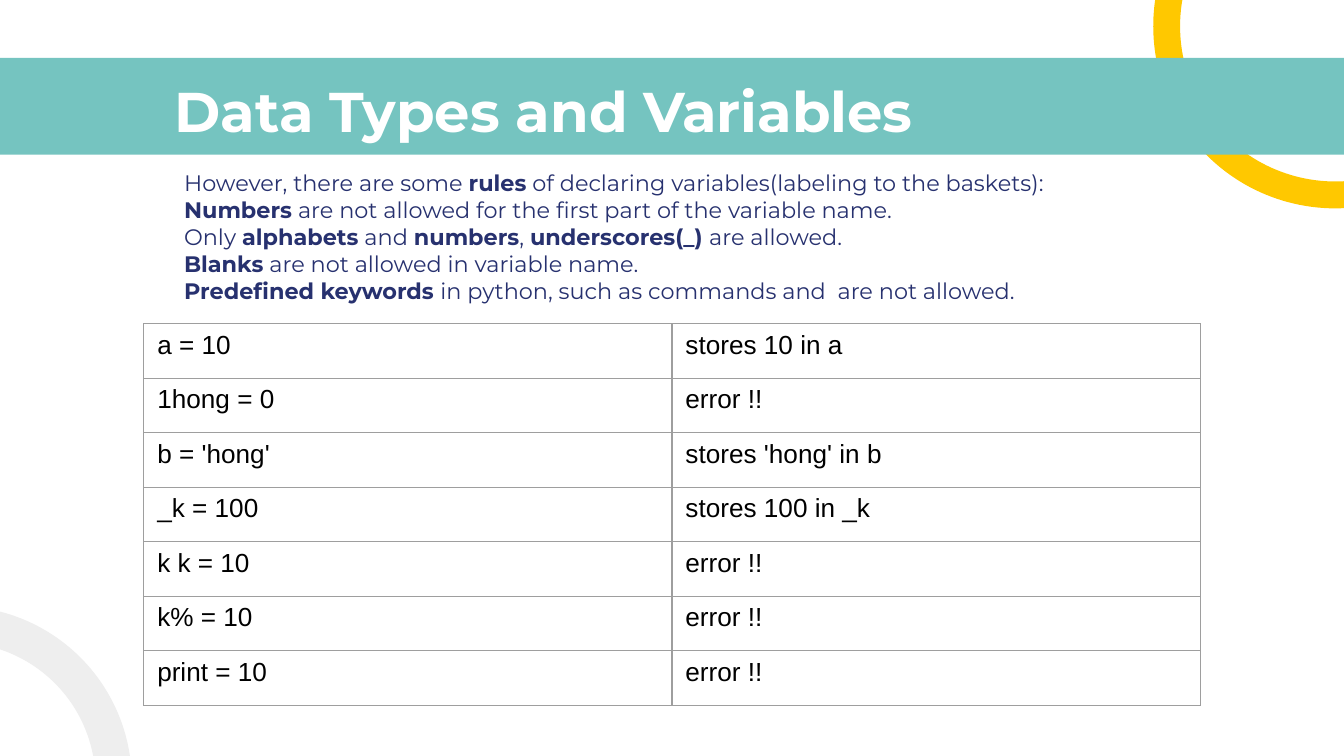
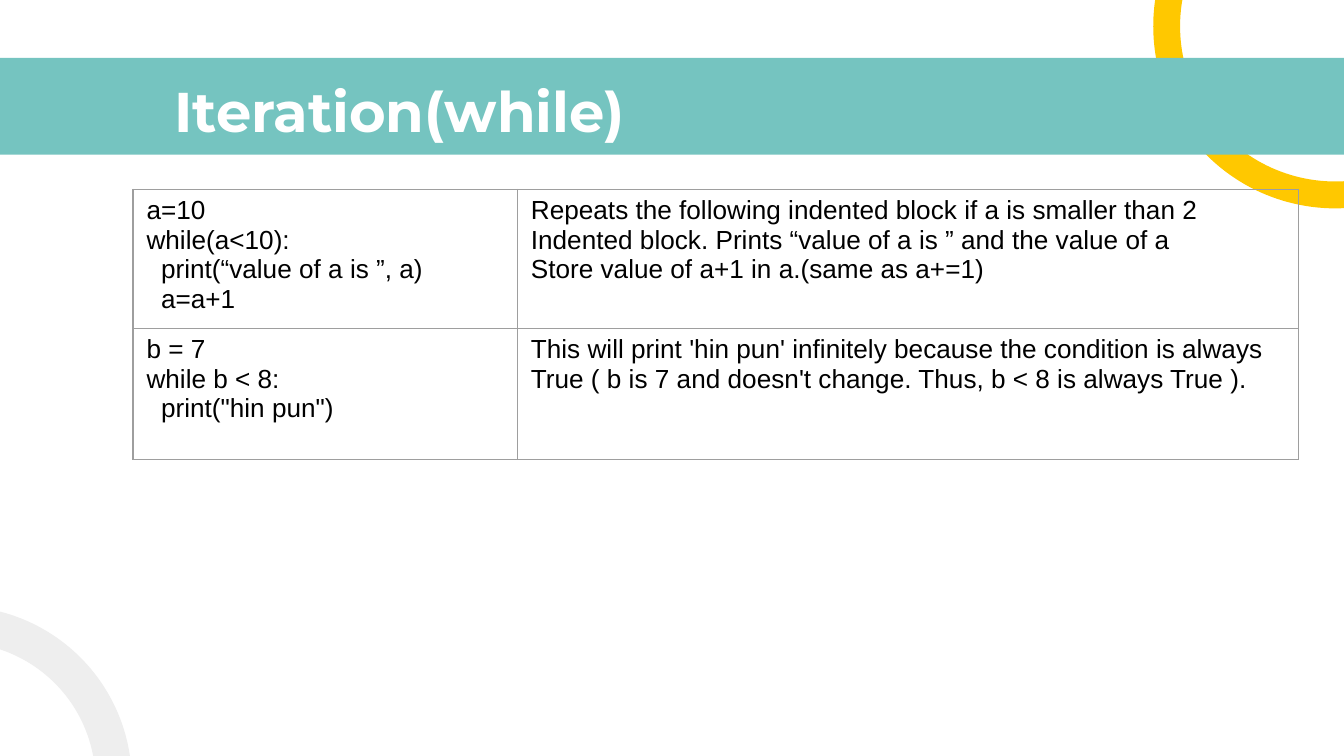
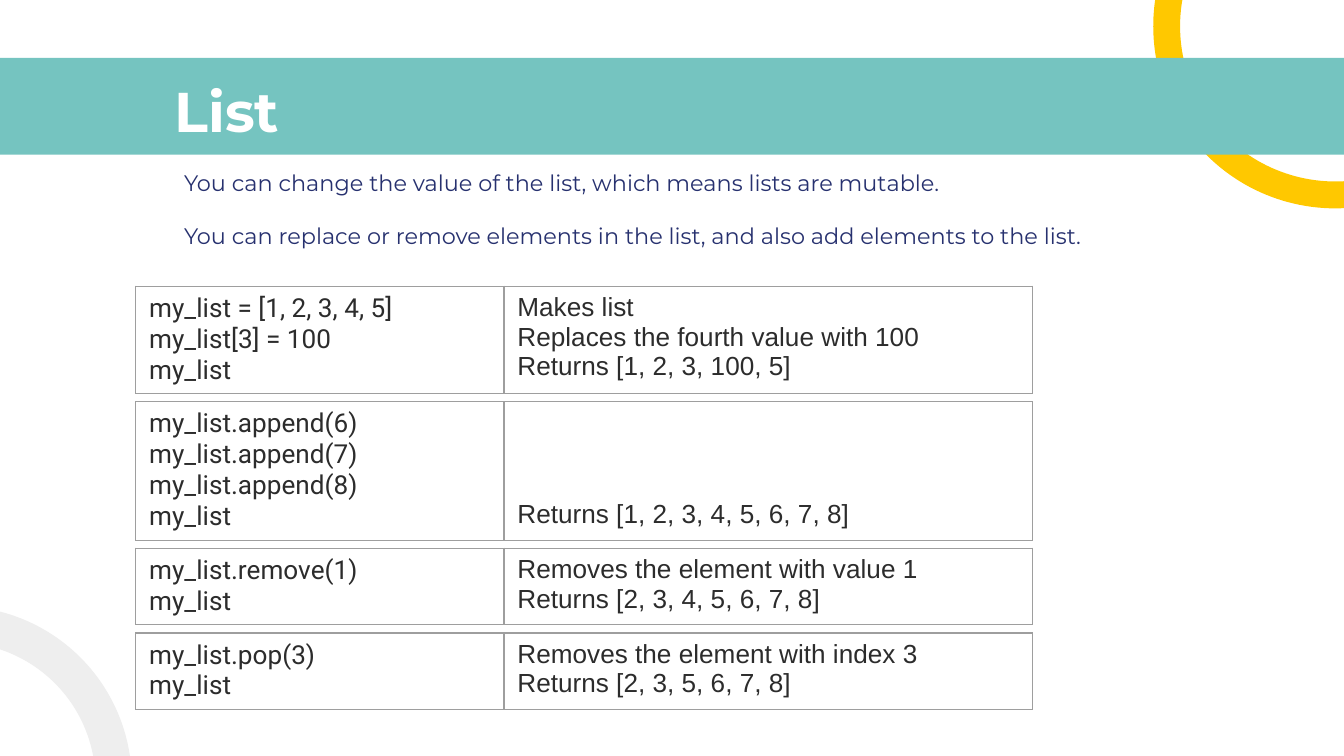
from lxml import etree
from pptx import Presentation
from pptx.dml.color import RGBColor
from pptx.enum.shapes import MSO_SHAPE
from pptx.enum.text import MSO_ANCHOR
from pptx.oxml.ns import qn
from pptx.util import Inches, Pt

BLOCK_ARC = MSO_SHAPE.BLOCK_ARC
RECTANGLE = MSO_SHAPE.RECTANGLE
TOP, BOTTOM = MSO_ANCHOR.TOP, MSO_ANCHOR.BOTTOM

YELLOW = RGBColor(0xFF, 0xC8, 0x00)
TEAL = RGBColor(0x75, 0xC4, 0xC0)
PALE_GRAY = RGBColor(0xEE, 0xEE, 0xEE)
WHITE = RGBColor(0xFF, 0xFF, 0xFF)
NAVY = RGBColor(0x27, 0x31, 0x6F)
BLACK = RGBColor(0x00, 0x00, 0x00)
CHARCOAL = RGBColor(0x2C, 0x2C, 0x2C)
BORDER_GRAY = RGBColor(0x9E, 0x9E, 0x9E)

HEADING_FONT, TABLE_FONT, CODE_FONT = "Montserrat", "Arial", "Roboto"
TABLE_SIZE = 14

VARIABLE_RULES = [  # *...* marks bold words
    "However, there are some *rules* of declaring variables(labeling to the baskets):",
    "*Numbers* are not allowed for the first part of the variable name.",
    "Only *alphabets* and *numbers*, *underscores(_) *are allowed.",
    "*Blanks* are not allowed in variable name.",
    "*Predefined keywords *in python, such as commands and  are not allowed.",
]
VARIABLE_ROWS = [
    ("a = 10", "stores 10 in a"),
    ("1hong = 0", "error !!"),
    ("b = 'hong'", "stores 'hong' in b"),
    ("_k = 100", "stores 100 in _k"),
    ("k k = 10", "error !!"),
    ("k% = 10", "error !!"),
    ("print = 10", "error !!"),
]
WHILE_ROWS = [
    ("a=10\nwhile(a<10):\n  print(“value of a is ”, a)\n  a=a+1",
     "Repeats the following indented block if a is smaller than 2\n"
     "Indented block. Prints “value of a is ” and the value of a\n"
     "Store value of a+1 in a.(same as a+=1)"),
    ("b = 7\nwhile b < 8:\n  print(\"hin pun\")",
     "This will print 'hin pun' infinitely because the condition is always "
     "True ( b is 7 and doesn't change. Thus, b < 8 is always True )."),
]
LIST_NOTES = [
    "You can change the value of the list, which means lists are mutable.",
    "You can replace or remove elements in the list, and also add elements to the list.",
]
LIST_EXAMPLES = [  # table height, code, result
    (0.79, "my_list = [1, 2, 3, 4, 5]\nmy_list[3] = 100\nmy_list",
     "Makes list\nReplaces the fourth value with 100\nReturns [1, 2, 3, 100, 5]"),
    (1.02, "my_list.append(6)\nmy_list.append(7)\nmy_list.append(8)\nmy_list",
     "Returns [1, 2, 3, 4, 5, 6, 7, 8]"),
    (0.56, "my_list.remove(1)\nmy_list",
     "Removes the element with value 1\nReturns [2, 3, 4, 5, 6, 7, 8]"),
    (0.56, "my_list.pop(3)\nmy_list",
     "Removes the element with index 3\nReturns [2, 3, 5, 6, 7, 8]"),
]


def style_font(font, name, size, color, bold=False):
    font.name, font.size, font.bold = name, Pt(size), bold
    font.color.rgb = color


def add_plain_shape(slide, kind, left, top, width, height, color):
    shape = slide.shapes.add_shape(
        kind, Inches(left), Inches(top), Inches(width), Inches(height))
    shape.shadow.inherit = False
    shape.fill.solid()
    shape.fill.fore_color.rgb = color
    shape.line.fill.background()
    return shape


def add_ring(slide, left, top, size, thickness, start, end, rotation, color):
    ring = add_plain_shape(slide, BLOCK_ARC, left, top, size, size, color)
    ring.adjustments[0] = start
    ring.adjustments[1] = end
    ring.adjustments[2] = thickness / size
    ring.rotation = rotation


def add_text_frame(slide, left, top, width, height, indent=0.0):
    box = slide.shapes.add_textbox(
        Inches(left), Inches(top), Inches(width), Inches(height))
    frame = box.text_frame
    frame.word_wrap = True
    frame.vertical_anchor = TOP
    frame.margin_left = Inches(0.1 + indent)
    frame.margin_right = frame.margin_top = frame.margin_bottom = Inches(0.1)
    return frame


def add_titled_slide(presentation, title):
    slide = presentation.slides.add_slide(presentation.slide_layouts[6])
    # Corner rings and title band
    add_ring(slide, 8.58, -1.16, 2.71, 0.2, 159.04, 7.23, 180, YELLOW)
    add_plain_shape(slide, RECTANGLE, -0.17, 0.43, 10.34, 0.72, TEAL)
    add_ring(slide, -1.63, 4.51, 2.61, 0.27, 125.82, 166.85, 74.3, PALE_GRAY)
    # Title
    paragraph = add_text_frame(slide, 1.2, 0.47, 8.46, 0.63).paragraphs[0]
    paragraph.text = title
    style_font(paragraph.font, HEADING_FONT, 30, WHITE, bold=True)
    return slide


def add_notes_text(slide, lines, height, gap=0):
    frame = add_text_frame(slide, 0.77, 1.16, 8.46, height, indent=0.5)
    for index, line in enumerate(lines):
        paragraph = frame.add_paragraph() if index else frame.paragraphs[0]
        if index and gap:
            paragraph.space_before = Pt(gap)
        style_font(paragraph.font, HEADING_FONT, 12, NAVY)
        for position, words in enumerate(line.split("*")):
            if words:
                run = paragraph.add_run()
                run.text = words
                if position % 2:
                    run.font.bold = True


def add_borders(cell):
    properties = cell._tc.get_or_add_tcPr()
    for side in ("a:lnL", "a:lnR", "a:lnT", "a:lnB"):
        line = etree.SubElement(properties, qn(side), w=str(Pt(0.75)))
        fill = etree.SubElement(line, qn("a:solidFill"))
        etree.SubElement(fill, qn("a:srgbClr"), val=str(BORDER_GRAY))


def add_grid(slide, left, top, widths, height, rows, fonts, color):
    """Add a bordered table, with equal rows and one font per column."""
    table = slide.shapes.add_table(
        len(rows), len(widths), Inches(left), Inches(top),
        Inches(sum(widths)), Inches(height)).table
    table.first_row = table.horz_banding = False
    for column, width in zip(table.columns, widths):
        column.width = Inches(width)
    for row, texts in zip(table.rows, rows):
        row.height = Inches(height / len(rows))
        for cell, text, font_name in zip(row.cells, texts, fonts):
            cell.text = text
            add_borders(cell)
            cell.fill.background()
            for paragraph in cell.text_frame.paragraphs:
                style_font(paragraph.font, font_name, TABLE_SIZE, color)
                # The end mark must not make the line taller
                etree.SubElement(paragraph._p, qn("a:endParaRPr"),
                                 sz=str(TABLE_SIZE * 100))
    return table


def build_variables_slide(presentation):
    slide = add_titled_slide(presentation, "Data Types and Variables")
    add_notes_text(slide, VARIABLE_RULES, 1.2)
    add_grid(slide, 1.07, 2.41, (3.93, 3.93), 2.84, VARIABLE_ROWS,
             (TABLE_FONT, TABLE_FONT), BLACK)


def build_while_slide(presentation):
    slide = add_titled_slide(presentation, "Iteration(while)")
    add_grid(slide, 0.99, 1.41, (2.86, 5.81), 1.95, WHILE_ROWS,
             (TABLE_FONT, TABLE_FONT), BLACK)


def build_list_slide(presentation):
    slide = add_titled_slide(presentation, "List")
    add_notes_text(slide, LIST_NOTES, 1.03, gap=14)
    top, gap = 2.13, 0.07
    for height, code, result in LIST_EXAMPLES:
        table = add_grid(slide, 1.01, top, (2.74, 3.93), height,
                         [(code, result)], (CODE_FONT, TABLE_FONT), CHARCOAL)
        # A lone result sits level with the last line of code
        if "\n" not in result:
            result_cell = table.cell(0, 1)
            result_cell.vertical_anchor = BOTTOM
            result_cell.margin_bottom = Inches(0.09)
        top += height + gap


def main():
    presentation = Presentation()
    presentation.slide_width = Inches(10)
    presentation.slide_height = Inches(10 * 9 / 16)
    build_variables_slide(presentation)
    build_while_slide(presentation)
    build_list_slide(presentation)
    presentation.save("out.pptx")


if __name__ == "__main__":
    main()
